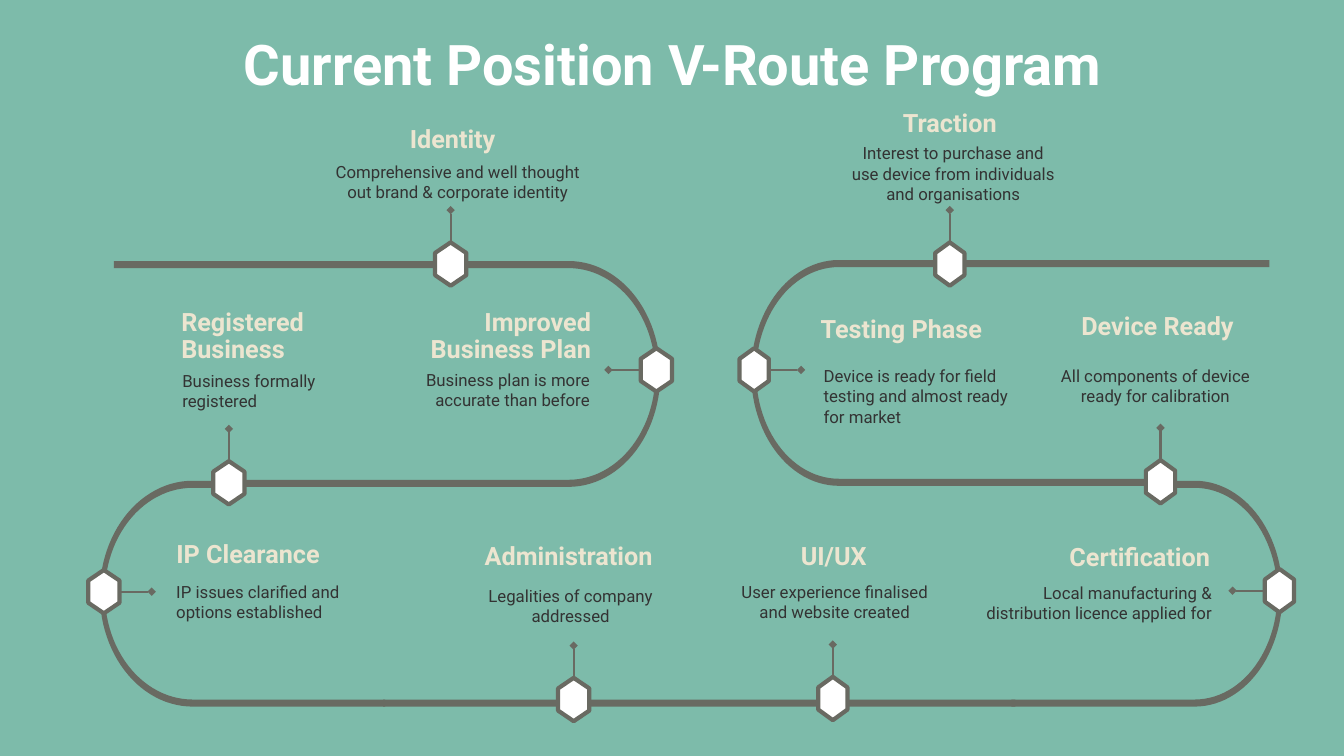
from dataclasses import dataclass
from math import cos, radians, sin

from lxml.etree import SubElement
from pptx import Presentation
from pptx.dml.color import RGBColor
from pptx.enum.shapes import MSO_CONNECTOR, MSO_SHAPE
from pptx.enum.text import MSO_ANCHOR, PP_ALIGN
from pptx.oxml.ns import qn
from pptx.util import Inches, Pt

# Grid: 13.33 columns by 7.5 rows
W, H = Inches(13.33), Inches(7.5)
COL, ROW = W / 13.33, H / 7.5
LEFT, CENTER, RIGHT = PP_ALIGN.LEFT, PP_ALIGN.CENTER, PP_ALIGN.RIGHT


@dataclass(frozen=True)
class Theme:
    font: str = "Roboto"
    back: str = "7DBBAA"
    track: str = "696A62"
    white: str = "FFFFFF"
    heading: str = "ECE5D0"
    body: str = "333333"
    title_size: int = 40
    heading_size: int = 18
    body_size: int = 12
    hex_line: float = 3
    stem_line: float = 1.5


T = Theme()
BAND, SIDE = 0.07, 0.05  # track thickness on straights and at loop sides
LOOP_RY = 1.12           # vertical radius of every loop
GAP = 9                  # degrees left open beside a loop's marker

# Straight bars: left, top, width
BARS = [(1.13, 2.59, 3.17), (3.8, 6.94, 1.72), (5.84, 6.94, 2.27),
        (8.42, 6.94, 1.65), (9.58, 2.58, 3.01)]

# Loops: centre x, centre y, horizontal radius (minus = opens right), end of top and bottom run
LOOPS = [(5.64, 3.71, 0.91, 4.64, 2.42), (1.91, 5.89, -0.92, 2.11, 3.82),
         (8.32, 3.7, -0.87, 9.26, 11.36), (11.85, 5.89, 0.87, 11.66, 10.03)]

# Milestones: heading, its box, text, its box, alignment, marker centre, stem direction
MILESTONES = [
    ("Identity", (3.36, 1.16, 2.26, 0.53),
     "Comprehensive and well thought out brand & corporate identity",
     (3.22, 1.5, 2.64, 0.58), CENTER, (4.47, 2.62), (0, -1)),
    ("Improved Business Plan", (3.77, 2.97, 2.19, 0.53),
     "Business plan is more accurate than before",
     (3.95, 3.57, 2, 0.56), RIGHT, (6.51, 3.67), (-1, 0)),
    ("Registered\nBusiness", (1.7, 2.97, 1.77, 0.61),
     "Business formally registered",
     (1.71, 3.58, 1.91, 0.52), LEFT, (2.27, 4.79), (0, -1)),
    ("IP Clearance", (1.65, 5.27, 1.72, 0.44),
     "IP issues clarified and options established",
     (1.65, 5.67, 2.14, 0.68), LEFT, (1.03, 5.87), (1, 0)),
    ("Administration", (4.62, 5.29, 2.04, 0.46),
     "Legalities of company addressed",
     (4.59, 5.71, 2.14, 0.68), CENTER, (5.69, 6.94), (0, -1)),
    ("UI/UX", (7.41, 5.29, 1.72, 0.44),
     "User experience finalised and website created",
     (7.2, 5.67, 2.16, 0.57), CENTER, (8.26, 6.93), (0, -1)),
    ("Certification", (10.38, 5.3, 1.72, 0.44),
     "Local manufacturing & distribution licence applied for",
     (9.58, 5.68, 2.54, 0.72), RIGHT, (12.69, 5.86), (-1, 0)),
    ("Device Ready", (10.44, 3.01, 2.08, 0.39),
     "All components of device ready for calibration",
     (10.35, 3.53, 2.22, 0.68), CENTER, (11.51, 4.78), (0, -1)),
    ("Testing Phase", (8.04, 3.04, 2.08, 0.39),
     "Device is ready for field testing and almost ready for market",
     (8.07, 3.53, 2.14, 0.68), LEFT, (7.48, 3.67), (1, 0)),
    ("Traction", (8.77, 1, 1.3, 0.39),
     "Interest to purchase and use device from individuals and organisations",
     (8.31, 1.32, 2.29, 0.82), CENTER, (9.42, 2.62), (0, -1)),
]


def rgb(value):
    return RGBColor.from_string(value)


def grid(x, y):
    return round(x * COL), round(y * ROW)


def paint(sp, fill, line=None, width=0):
    sp.shadow.inherit = False
    sp.fill.solid()
    sp.fill.fore_color.rgb = rgb(fill)
    if line is None:
        sp.line.fill.background()
        return
    sp.line.color.rgb = rgb(line)
    sp.line.width = Pt(width)
    SubElement(sp.line._get_or_add_ln(), qn("a:round"))


def add_text(slide, text, box, *, size, color, bold=False, align=LEFT,
             spacing=None, anchor=MSO_ANCHOR.TOP, pad_y=0.1):
    x, y, w, h = box
    tf = slide.shapes.add_textbox(*grid(x, y), *grid(w, h)).text_frame
    tf.word_wrap = True
    tf.vertical_anchor = anchor
    tf.margin_left = tf.margin_right = Inches(0.1)
    tf.margin_top = tf.margin_bottom = Inches(pad_y)
    for i, line in enumerate(text.split("\n")):
        p = tf.add_paragraph() if i else tf.paragraphs[0]
        p.alignment = align
        p.line_spacing = spacing
        r = p.add_run()
        r.text = line
        r.font.name = T.font
        r.font.size = Pt(size)
        r.font.bold = bold
        r.font.color.rgb = rgb(color)


def add_outline(slide, points):
    start, *rest = [grid(x, y) for x, y in points]
    builder = slide.shapes.build_freeform(*start)
    builder.add_line_segments(rest, close=True)
    return builder.convert_to_shape()


def add_bar(slide, x, y, w):
    sp = slide.shapes.add_shape(MSO_SHAPE.RECTANGLE, *grid(x, y), *grid(w, BAND))
    paint(sp, T.track)


def add_half_loop(slide, cx, cy, rx, up, end_x):
    """A quarter of an elliptical band, running on straight to end_x."""
    side = 1 if rx > 0 else -1

    def edge(rx, ry):
        angles = [radians(GAP + i * (90 - GAP) / 24) for i in range(25)]
        arc = [(cx + rx * cos(a), cy + up * ry * sin(a)) for a in angles]
        return arc + [(end_x, cy + up * ry)]

    outer = edge(rx, LOOP_RY)
    inner = edge(rx - side * SIDE, LOOP_RY - BAND)
    paint(add_outline(slide, outer + inner[::-1]), T.track)


def add_marker(slide, cx, cy, dx, dy):
    half_w = 0.155 if cx < 13.33 / 2 else 0.145
    half_h, shoulder, stem = 0.215, 0.11, 0.32
    # Stem with a diamond at its free end
    near = cx + dx * half_w, cy + dy * half_h
    far = near[0] + dx * stem, near[1] + dy * stem
    c = slide.shapes.add_connector(MSO_CONNECTOR.STRAIGHT, *grid(*far), *grid(*near))
    c.line.color.rgb = rgb(T.track)
    c.line.width = Pt(T.stem_line)
    SubElement(c.line._get_or_add_ln(), qn("a:headEnd"), type="diamond")
    SubElement(c._element.spPr, qn("a:effectLst"))
    # Hexagon
    right = [(0, -half_h), (half_w, -shoulder), (half_w, shoulder)]
    corners = right + [(-x, -y) for x, y in right]
    sp = add_outline(slide, [(cx + x, cy + y) for x, y in corners])
    paint(sp, T.white, T.track, T.hex_line)


def main():
    prs = Presentation()
    prs.slide_width, prs.slide_height = W, H
    slide = prs.slides.add_slide(prs.slide_layouts[6])
    slide.background.fill.solid()
    slide.background.fill.fore_color.rgb = rgb(T.back)

    # Track
    for bar in BARS:
        add_bar(slide, *bar)
    for cx, cy, rx, top_end, bottom_end in LOOPS:
        add_half_loop(slide, cx, cy, rx, -1, top_end)
        add_half_loop(slide, cx, cy, rx, 1, bottom_end)

    # Title
    add_text(slide, "Current Position V-Route Program", (0.84, 0.35, 11.66, 0.56),
             size=T.title_size, color=T.white, bold=True, align=CENTER,
             anchor=MSO_ANCHOR.MIDDLE, pad_y=0.05)

    # Milestones
    for heading, heading_box, body, body_box, align, centre, stem in MILESTONES:
        add_marker(slide, *centre, *stem)
        add_text(slide, heading, heading_box, size=T.heading_size,
                 color=T.heading, bold=True, align=align, spacing=0.9)
        add_text(slide, body, body_box, size=T.body_size, color=T.body, align=align)

    prs.save("out.pptx")


if __name__ == "__main__":
    main()
